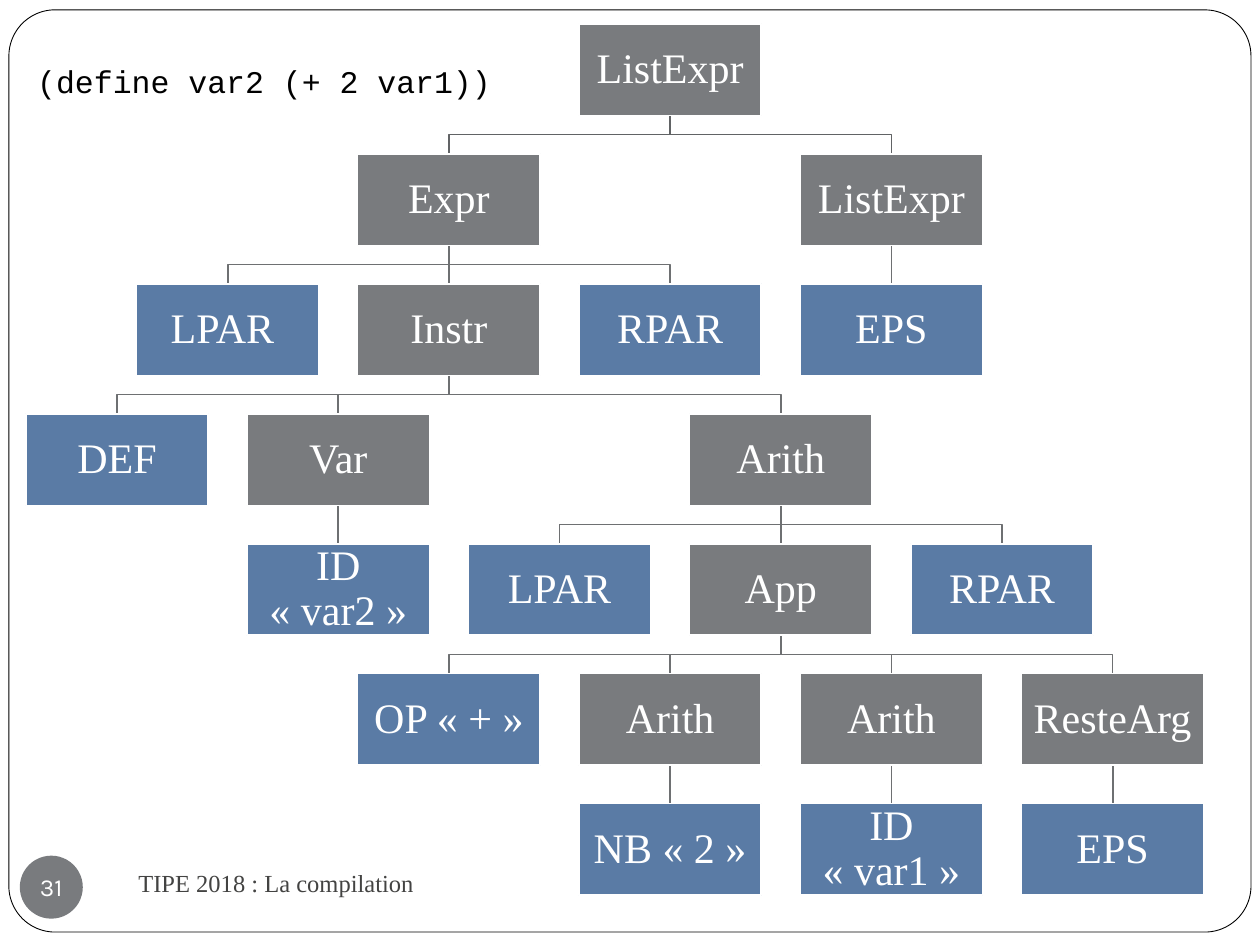
from dataclasses import dataclass
from typing import Optional, Tuple

import pptx
import pptx.dml.color
import pptx.enum.shapes
import pptx.enum.text
import pptx.oxml
import pptx.shapes.autoshape
import pptx.slide
import pptx.util
from pptx.dml.color import RGBColor
from pptx.enum.shapes import MSO_CONNECTOR, MSO_SHAPE
from pptx.enum.text import MSO_ANCHOR, PP_ALIGN
from pptx.util import Cm, Pt


@dataclass(frozen=True)
class Theme:
    white: RGBColor = RGBColor(0xFF, 0xFF, 0xFF)
    black: RGBColor = RGBColor(0, 0, 0)
    rule: RGBColor = RGBColor(0x79, 0x7B, 0x7E)
    token: RGBColor = RGBColor(0x5A, 0x7B, 0xA5)
    root_branch: RGBColor = RGBColor(0x61, 0x63, 0x65)
    branch: RGBColor = RGBColor(0x6E, 0x70, 0x72)
    footer: RGBColor = RGBColor(0x43, 0x43, 0x42)
    serif: str = "Times New Roman"
    code: str = "Courier New"
    number: str = "Karla"
    node_size: Pt = Pt(24)
    code_size: Pt = Pt(18)
    small_size: Pt = Pt(14)
    thin: Pt = Pt(0.5)
    line: Pt = Pt(1)


@dataclass(frozen=True)
class Node:
    label: str
    children: Tuple["Node", ...] = ()
    leaf_column: float = 0

    @property
    def column(self) -> float:
        if not self.children:
            return self.leaf_column
        return (self.children[0].column + self.children[-1].column) / 2


@dataclass(frozen=True)
class Box:
    left: int
    top: int
    width: int
    height: int

    @property
    def center(self) -> int:
        return self.left + self.width // 2

    @property
    def bottom(self) -> int:
        return self.top + self.height


THEME = Theme()
TREE_LEFT, TREE_TOP = Cm(0.52), Cm(0.48)
COLUMN_STEP, ROW_STEP = Cm(2.23), Cm(2.62)
NODE_WIDTH, NODE_HEIGHT = Cm(3.68), Cm(1.85)


def rule(label: str, *children: Node) -> Node:
    return Node(label, children)


def token(label: str, column: float) -> Node:
    return Node(label, leaf_column=column)


def quoted(name: str, value: str) -> str:
    return f"{name} «\u00a0{value}\u00a0»"


TREE = rule(
    "ListExpr",
    rule(
        "Expr",
        token("LPAR ", 1),
        rule(
            "Instr",
            token("DEF", 0),
            rule("Var", token(quoted("ID", "var2"), 2)),
            rule(
                "Arith",
                token("LPAR", 4),
                rule(
                    "App",
                    token(quoted("OP", "+"), 3),
                    rule("Arith", token(quoted("NB", "2"), 5)),
                    rule("Arith", token(quoted("ID", "var1"), 7)),
                    rule("ResteArg", token("EPS", 9)),
                ),
                token("RPAR", 8),
            ),
        ),
        token("RPAR", 5),
    ),
    rule("ListExpr", token("EPS", 7)),
)


def add_text(shape: pptx.shapes.autoshape.Shape, text: str, font: str, size: Pt,
             color: RGBColor, align: PP_ALIGN = PP_ALIGN.LEFT, wrap: bool = True,
             inset: Optional[int] = None) -> None:
    frame = shape.text_frame
    frame.word_wrap = wrap
    frame.vertical_anchor = MSO_ANCHOR.MIDDLE
    if inset is not None:
        frame.margin_left = frame.margin_right = inset
        frame.margin_top = frame.margin_bottom = inset
    paragraph = frame.paragraphs[0]
    paragraph.alignment = align
    run = paragraph.add_run()
    run.text = text
    run.font.name = font
    run.font.size = size
    run.font.color.rgb = color


def add_block(slide: pptx.slide.Slide, kind: MSO_SHAPE, box: Box, fill: RGBColor,
              line: Optional[RGBColor],
              width: Pt = THEME.line) -> pptx.shapes.autoshape.Shape:
    shape = slide.shapes.add_shape(kind, box.left, box.top, box.width, box.height)
    shape.shadow.inherit = False
    shape.fill.solid()
    shape.fill.fore_color.rgb = fill
    if line is None:
        shape.line.fill.background()
    else:
        shape.line.color.rgb = line
        shape.line.width = width
    return shape


def node_box(node: Node, depth: int) -> Box:
    return Box(TREE_LEFT + round(node.column * COLUMN_STEP), TREE_TOP + depth * ROW_STEP,
               NODE_WIDTH, NODE_HEIGHT)


def add_branch(slide: pptx.slide.Slide, parent: Box, child: Box, color: RGBColor) -> None:
    if parent.center == child.center:
        branch = slide.shapes.add_connector(
            MSO_CONNECTOR.STRAIGHT, parent.center, parent.bottom, child.center, child.top)
        branch._element.spPr.append(pptx.oxml.parse_xml(
            '<a:effectLst xmlns:a="http://schemas.openxmlformats.org/drawingml/2006/main"/>'))
    else:
        middle = (parent.bottom + child.top) // 2
        builder = slide.shapes.build_freeform(parent.center, parent.bottom)
        builder.add_line_segments(
            [(parent.center, middle), (child.center, middle), (child.center, child.top)],
            close=False)
        branch = builder.convert_to_shape()
        branch.shadow.inherit = False
        branch.fill.background()
    branch.line.color.rgb = color
    branch.line.width = THEME.line


def draw_branches(slide: pptx.slide.Slide, node: Node, depth: int = 0) -> None:
    color = THEME.branch if depth else THEME.root_branch
    for child in node.children:
        add_branch(slide, node_box(node, depth), node_box(child, depth + 1), color)
        draw_branches(slide, child, depth + 1)


def draw_nodes(slide: pptx.slide.Slide, node: Node, depth: int = 0) -> None:
    fill = THEME.rule if node.children else THEME.token
    shape = add_block(slide, MSO_SHAPE.RECTANGLE, node_box(node, depth), fill, THEME.white)
    add_text(shape, node.label, THEME.serif, THEME.node_size, THEME.white,
             PP_ALIGN.CENTER, inset=Cm(0.05))
    shape.text_frame.paragraphs[0].line_spacing = 0.9
    for child in node.children:
        draw_nodes(slide, child, depth + 1)


presentation = pptx.Presentation()
presentation.slide_width, presentation.slide_height = Cm(25.4), Cm(19.05)
slide = presentation.slides.add_slide(presentation.slide_layouts[6])

border = add_block(slide, MSO_SHAPE.ROUNDED_RECTANGLE,
                   Box(Cm(0.18), Cm(0.2), Cm(25.04), Cm(18.59)),
                   THEME.white, THEME.black, THEME.thin)
border.adjustments[0] = 0.05

footer = slide.shapes.add_textbox(Cm(2.54), Cm(17.15), Cm(11), Cm(1.27))
add_text(footer, "TIPE 2018 : La compilation", THEME.serif, THEME.small_size, THEME.footer)

badge = add_block(slide, MSO_SHAPE.OVAL, Box(Cm(0.4), Cm(17.25), Cm(1.27), Cm(1.27)),
                  THEME.rule, None)
add_text(badge, "31", THEME.number, THEME.small_size, THEME.white,
         PP_ALIGN.CENTER, wrap=False, inset=Cm(0))

draw_branches(slide, TREE)
draw_nodes(slide, TREE)

expression = slide.shapes.add_textbox(Cm(0.5), Cm(1.12), Cm(11.4), Cm(1.8))
add_text(expression, "(define var2 (+ 2 var1))", THEME.code, THEME.code_size, THEME.black)
expression.text_frame.vertical_anchor = MSO_ANCHOR.TOP
expression.text_frame.paragraphs[0].space_before = Pt(3)

presentation.save("out.pptx")
